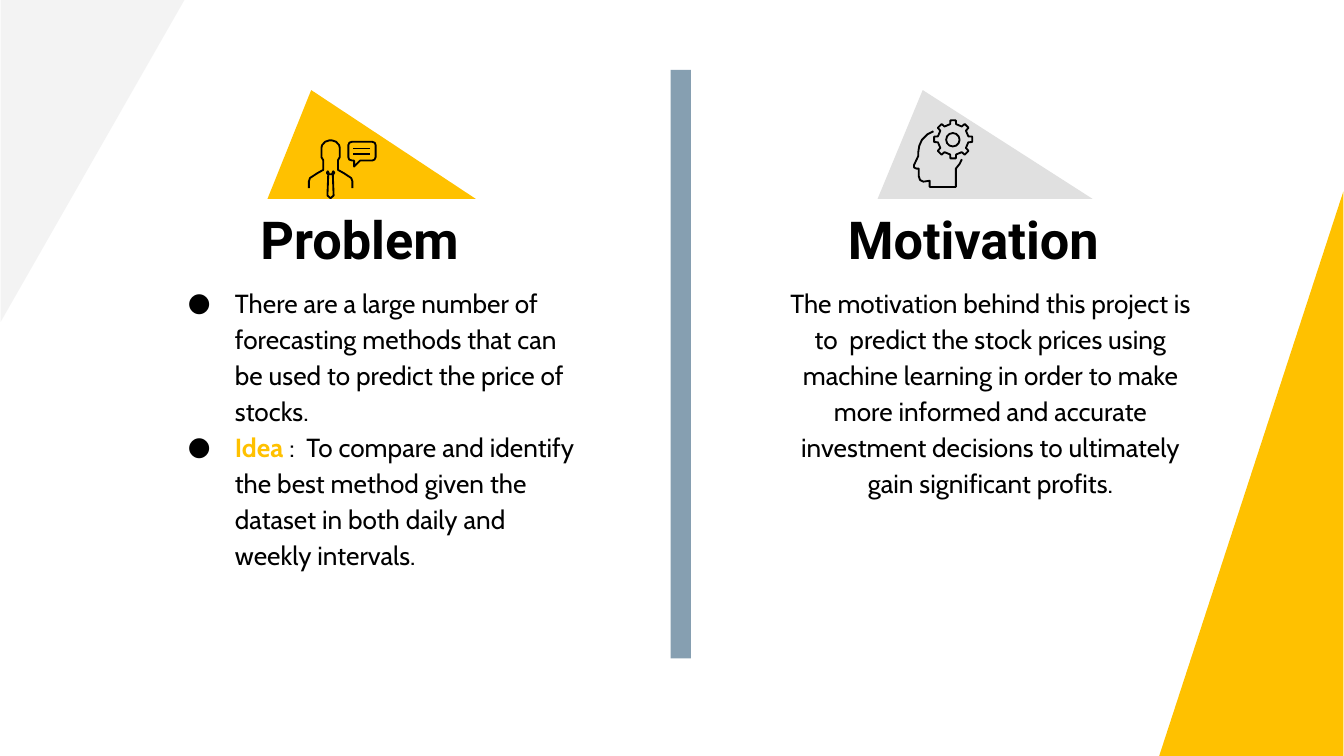
import math
from pptx import Presentation, util as u
from pptx.dml.color import RGBColor
from pptx.enum import shapes, text
from pptx.oxml import parse_xml
from pptx.oxml.ns import nsdecls

YELLOW, PALE, GREY, BLUE, BLACK = "FFC100", "F3F3F3", "E0E0E0", "869FB1", "000000"

# Content: each paragraph is a list of (text, colour, bold) runs
PROBLEM = [
    [("There are a large number of forecasting methods that can be used to "
      "predict the price of stocks.", BLACK, False)],
    [("Idea", YELLOW, True),
     (" :  To compare and identify the best method given the dataset in both "
      "daily and weekly intervals.", BLACK, False)],
]
MOTIVATION = [
    [("The motivation behind this project is to  predict the stock prices using "
      "machine learning in order to make more informed and accurate investment "
      "decisions to ultimately gain significant profits.", BLACK, False)],
]
COLUMNS = [
    {"heading": "Problem", "heading_box": (1.84, 1.37, 1.83, 0.53),
     "body": PROBLEM, "body_box": (1.15, 2, 3.26, 2.62), "bullets": True,
     "triangle_box": (1.99, 0.67, 1.55, 0.81), "triangle_fill": YELLOW},
    {"heading": "Motivation", "heading_box": (6.21, 1.37, 2.33, 0.73),
     "body": MOTIVATION, "body_box": (5.76, 2, 3.22, 2.62), "bullets": False,
     "triangle_box": (6.53, 0.67, 1.6, 0.81), "triangle_fill": GREY},
]

# Icon strokes in hundredths of an inch; halves are x offsets from the person's axis
PERSON_AXIS = 246
PERSON_HALF = [(1, 104.5), (4, 105.5), (6.3, 108), (6.8, 110), (6.8, 117),
               (5.5, 119.2), (5.5, 126.5), (10, 129), (15.3, 132.5),
               (16.2, 135), (16.2, 140)]
TIE_HALF = [(1, 129.7), (2, 127.5), (2.8, 128.5), (1.7, 130.2), (2.3, 145.5),
            (0, 147.5)]
BUBBLE = [(262, 105.5), (277, 105.5), (278.9, 106.3), (279.5, 108), (279.5, 117),
          (278.7, 118.8), (277, 119.5), (268, 119.5), (263.5, 124), (263.5, 119.5),
          (262, 119.5), (259.9, 118.8), (259.2, 117), (259.2, 108), (260, 106.2)]
BUBBLE_LINES = [110.5, 114.5]
HEAD = [(694.5, 97.7), (690, 100), (686, 104), (684, 108.5), (683.3, 113),
        (683.3, 116), (680, 123), (680.2, 124.7), (682, 125.5), (683.6, 125.5),
        (683.6, 131), (684.6, 134), (687, 135.2), (691.7, 134.5), (691.7, 139.1),
        (711.2, 139.1), (711.2, 125.5), (714, 122), (715.7, 118.5)]
GEAR_CENTRE = (709.2, 103.7)
GEAR_TEETH = 8
TOOTH = [(-11, 11.5), (-8, 14.3), (8, 14.3), (11, 11.5)]  # degrees, radius
STROKE = u.Pt(1)

# A 16:9 page
presentation = Presentation()
presentation.slide_width = u.Inches(10)
presentation.slide_height = presentation.slide_width * 9 // 16
slide = presentation.slides.add_slide(presentation.slide_layouts[6])


def colour(value):
    return RGBColor.from_string(value)


def paint(shape, fill=None, line=None):
    shape.shadow.inherit = False
    if fill:
        shape.fill.solid()
        shape.fill.fore_color.rgb = colour(fill)
    else:
        shape.fill.background()
    if line:
        shape.line.color.rgb = colour(line)
        shape.line.width = STROKE
    else:
        shape.line.fill.background()
    return shape


def add_block(kind, box, fill=None, line=None, rotation=0):
    shape = slide.shapes.add_shape(kind, *map(u.Inches, box))
    shape.rotation = rotation
    return paint(shape, fill, line)


def add_bullet(paragraph, font):
    properties = paragraph._p.get_or_add_pPr()
    properties.set("marL", str(u.Inches(0.5)))
    properties.set("indent", str(u.Inches(-0.35)))
    for tag in (f'<a:buClr {nsdecls("a")}><a:srgbClr val="{BLACK}"/></a:buClr>',
                f'<a:buFont {nsdecls("a")} typeface="{font}"/>',
                f'<a:buChar {nsdecls("a")} char="●"/>'):
        properties.append(parse_xml(tag))


def add_text(paragraphs, box, font, size, align=text.PP_ALIGN.LEFT, after=0, bullets=False):
    frame = slide.shapes.add_textbox(*map(u.Inches, box)).text_frame
    frame.word_wrap = True
    frame.margin_left = frame.margin_right = u.Inches(0.1)
    frame.margin_top = frame.margin_bottom = u.Inches(0.1)
    for index, runs in enumerate(paragraphs):
        paragraph = frame.add_paragraph() if index else frame.paragraphs[0]
        paragraph.alignment = align
        paragraph.line_spacing = 1.15
        paragraph.space_after = u.Pt(after)
        if bullets:
            add_bullet(paragraph, font)
        for content, run_colour, bold in runs:
            run = paragraph.add_run()
            run.text = content
            run.font.name, run.font.size, run.font.bold = font, u.Pt(size), bold
            run.font.color.rgb = colour(run_colour)


def add_outline(points, close=False):
    points = [(u.Inches(x / 100), u.Inches(y / 100)) for x, y in points]
    builder = slide.shapes.build_freeform(*points[0])
    builder.add_line_segments(points[1:], close=close)
    return paint(builder.convert_to_shape(), line=BLACK)


def mirrored(half):
    left = [(PERSON_AXIS - x, y) for x, y in reversed(half)]
    return left + [(PERSON_AXIS + x, y) for x, y in half]


# Corner triangles
add_block(shapes.MSO_SHAPE.RIGHT_TRIANGLE, (-0.51, 0.51, 2.4, 1.37), PALE, rotation=90)
add_block(shapes.MSO_SHAPE.RIGHT_TRIANGLE, (7.21, 2.84, 4.2, 1.37), YELLOW, rotation=270)

# Columns
for column in COLUMNS:
    add_text([[(column["heading"], BLACK, True)]], column["heading_box"], "Roboto", 28, after=16)
    bullets = column["bullets"]
    add_text(column["body"], column["body_box"], "Cabin", 14, bullets=bullets,
             align=text.PP_ALIGN.LEFT if bullets else text.PP_ALIGN.CENTER,
             after=0 if bullets else 16)
    triangle = add_block(shapes.MSO_SHAPE.ISOSCELES_TRIANGLE, column["triangle_box"],
                         column["triangle_fill"])
    triangle.adjustments[0] = 0.21

# Divider
add_block(shapes.MSO_SHAPE.RECTANGLE, (4.99, 0.52, 0.15, 4.38), BLUE)

# Speaking person icon
add_outline(mirrored(PERSON_HALF))
add_outline(mirrored(TIE_HALF), close=True)
add_outline(BUBBLE, close=True)
for y in BUBBLE_LINES:
    connector = slide.shapes.add_connector(
        shapes.MSO_CONNECTOR.STRAIGHT, u.Inches(2.63), u.Inches(y / 100),
        u.Inches(2.75), u.Inches(y / 100))
    connector.line.color.rgb = colour(BLACK)
    connector.line.width = STROKE
    connector._element.spPr.append(parse_xml(f'<a:effectLst {nsdecls("a")}/>'))

# Head with gear icon
add_outline(HEAD)
gear_x, gear_y = GEAR_CENTRE
gear = []
for tooth in range(GEAR_TEETH):
    for offset, radius in TOOTH:
        angle = math.radians(tooth * 360 / GEAR_TEETH + offset)
        gear.append((gear_x + radius * math.cos(angle), gear_y + radius * math.sin(angle)))
add_outline(gear, close=True)
add_block(shapes.MSO_SHAPE.OVAL, (7.04, 0.99, 0.1, 0.1), line=BLACK)

presentation.save("out.pptx")
